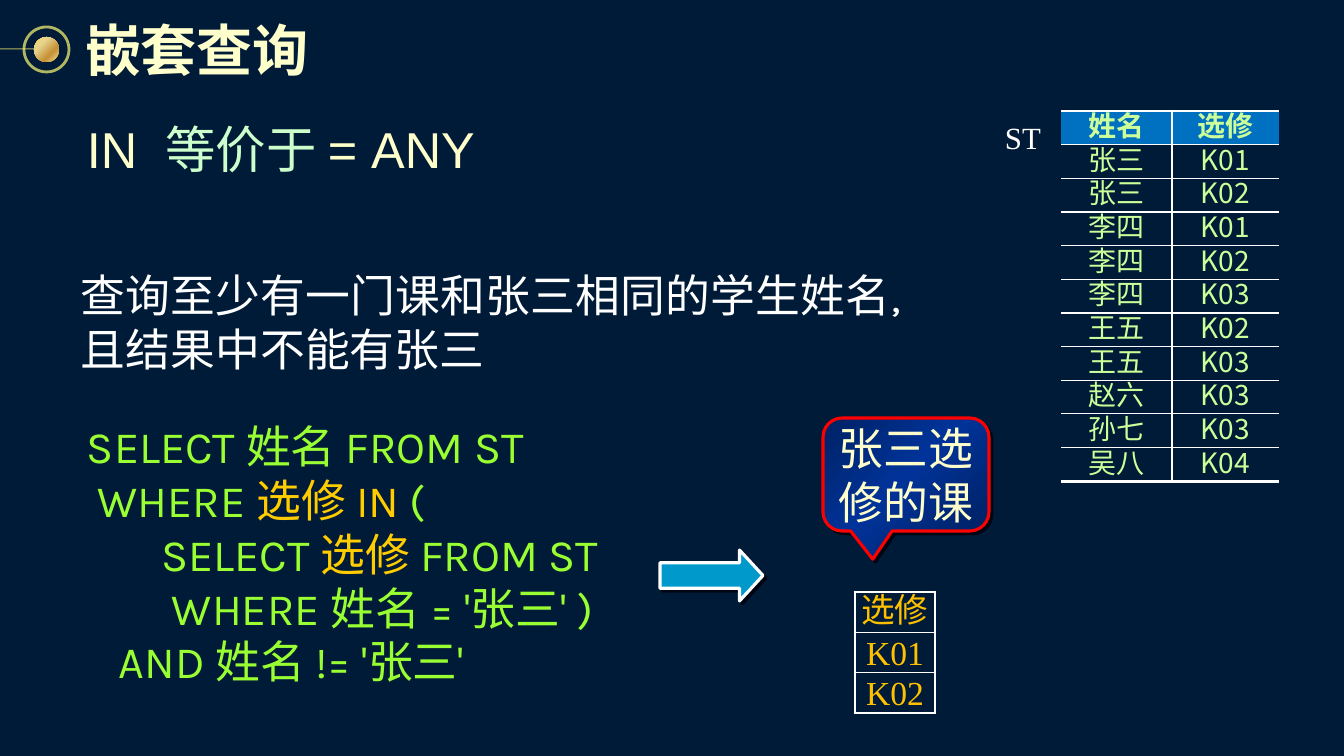
import lxml.etree
import pptx
import pptx.dml.color
import pptx.enum.shapes
import pptx.enum.text
import pptx.oxml.ns
import pptx.util

PX = 914400 / 100.8
THEME = {
    "ground": "001B37", "cream": "FFFFCC", "mint": "CCFFCC", "lime": "99FF33",
    "gold": "FFCC00", "amber": "FFC000", "pale": "CCFF99", "white": "FFFFFF",
    "header": "0070C0", "arrow": "0099CC", "alert": "FF0000", "ring": "FCF873",
    "shade": "000514",
    "pearl": [(0, "FCD860"), (31, "E6D38F"), (68, "C69135"), (100, "F1DF97")],
    "callout": [(0, "002163"), (50, "003399"), (100, "002163")],
    "title": 40, "heading": 36, "body": 32, "result": 24, "label": 22, "roster": 20,
    "cjk": "Noto Sans CJK SC", "code": "Karla", "sans": "Arial", "serif": "Times New Roman",
    "leading": 1.2,
}
RGB = pptx.dml.color.RGBColor.from_string
SHAPE = pptx.enum.shapes.MSO_SHAPE
ALIGN = pptx.enum.text.PP_ALIGN
ANCHOR = pptx.enum.text.MSO_ANCHOR
Pt = pptx.util.Pt
qn = pptx.oxml.ns.qn


def element(markup):
    """Parse one DrawingML element written with the a: prefix."""
    return pptx.oxml.parse_xml(markup.replace(
        ">" if "/>" not in markup.split(">")[0] + ">" else "/>",
        ' xmlns:a="http://schemas.openxmlformats.org/drawingml/2006/main"'
        + (">" if "/>" not in markup.split(">")[0] + ">" else "/>"), 1))


def write(frame, lines, face, size, align=ALIGN.LEFT):
    """Fill a text frame; each line is a list of (text, colour name) runs."""
    for index, pieces in enumerate(lines):
        paragraph = frame.paragraphs[0] if index == 0 else frame.add_paragraph()
        paragraph.alignment = align
        paragraph.line_spacing = Pt(THEME[size] * THEME["leading"])
        paragraph.space_before = Pt(0)
        font = paragraph.font
        font.name, font.size = THEME[face], Pt(THEME[size])
        font._rPr.append(element(f'<a:ea typeface="{THEME["cjk"]}"/>'))
        for text, colour in pieces:
            run = paragraph.add_run()
            run.text = text
            target = font if len(pieces) == 1 else run.font
            target.color.rgb = RGB(THEME[colour])


deck = pptx.Presentation()
deck.slide_width, deck.slide_height = int(1344 * PX), int(756 * PX)
slide = deck.slides.add_slide(deck.slide_layouts[5])
slide.background.fill.solid()
slide.background.fill.fore_color.rgb = RGB(THEME["ground"])
shapes = slide.shapes
shadow = (f'<a:outerShdw blurRad="0" dist="35560" dir="2700000"><a:srgbClr val="{THEME["shade"]}"/>'
          '</a:outerShdw>')

# Title ornament, arrow and callout
drawn = {}
for part, preset, box, outline, weight in [
    ("ring", SHAPE.OVAL, (24, 27, 45, 45), "ring", 2),
    ("pearl", SHAPE.OVAL, (34, 37, 25, 25), None, 0),
    ("arrow", SHAPE.RIGHT_ARROW, (660, 550, 103, 51), "white", 2.25),
    ("callout", SHAPE.ROUNDED_RECTANGULAR_CALLOUT, (823, 418, 166, 113), "alert", 2.25),
]:
    shape = drawn[part] = shapes.add_shape(preset, *[int(v * PX) for v in box])
    shape.shadow.inherit = False
    if outline:
        shape.line.color.rgb = RGB(THEME[outline])
        shape.line.width = Pt(weight)
    else:
        shape.line.fill.background()

drawn["ring"].fill.background()
drawn["arrow"].fill.solid()
drawn["arrow"].fill.fore_color.rgb = RGB(THEME["arrow"])
drawn["arrow"].adjustments[0], drawn["arrow"].adjustments[1] = 0.5, 0.46
for index, value in enumerate([-0.2, 0.75, 0.17]):
    drawn["callout"].adjustments[index] = value
drawn["pearl"].rotation = 270

for part, angle in [("pearl", 135), ("callout", 45)]:
    stops = "".join(f'<a:gs pos="{at * 1000}"><a:srgbClr val="{colour}"/></a:gs>'
                    for at, colour in THEME[part])
    drawn[part].element.spPr.prstGeom.addnext(element(
        f'<a:gradFill rotWithShape="1"><a:gsLst>{stops}</a:gsLst>'
        f'<a:lin ang="{angle * 60000}" scaled="0"/></a:gradFill>'))
for part in ("arrow", "callout"):
    drawn[part].element.spPr.find(qn("a:effectLst")).append(element(shadow))

thread = shapes.add_connector(pptx.enum.shapes.MSO_CONNECTOR.STRAIGHT,
                              0, int(49 * PX), int(34 * PX), int(49 * PX))
thread.line.color.rgb = RGB(THEME["ring"])
thread.line.width = Pt(0.75)
thread.element.spPr.append(element("<a:effectLst/>"))
for ornament in (drawn["ring"], thread):
    ornament.element.spPr.find(".//" + qn("a:ln")).find(".//" + qn("a:srgbClr")).append(
        element('<a:alpha val="70000"/>'))

callout = drawn["callout"].text_frame
callout.word_wrap = True
callout.vertical_anchor = ANCHOR.MIDDLE
callout.margin_left = callout.margin_right = 0
callout.margin_top = callout.margin_bottom = int(4 * PX)
write(callout, [[("张三选修的课", "cream")]], "sans", "body", ALIGN.CENTER)

# Title
title = shapes.title
title.left, title.top, title.width, title.height = [int(v * PX) for v in (77, 7, 242, 84)]
heading = title.text_frame
heading.word_wrap = False
heading.vertical_anchor = ANCHOR.MIDDLE
heading.margin_left = heading.margin_right = heading.margin_top = heading.margin_bottom = int(8 * PX)
write(heading, [[("嵌套查询", "cream")]], "cjk", "title")
heading.paragraphs[0].line_spacing = 1.0
heading.paragraphs[0].font.bold = True
heading.paragraphs[0].font._rPr.find(qn("a:latin")).addprevious(
    element(f"<a:effectLst>{shadow}</a:effectLst>"))

# Text blocks
query = [
    [("SELECT 姓名 FROM ST", "lime")],
    [(" WHERE ", "lime"), ("选修 IN", "gold"), (" (", "lime")],
    [("       SELECT ", "lime"), ("选修 ", "gold"), ("FROM ST", "lime")],
    [("        WHERE 姓名 = '张三' )", "lime")],
    [("   AND 姓名 != '张三' ", "lime")],
]
equivalence = [[("IN  ", "cream"), ("等价于 ", "mint"), ("= ANY", "cream")]]
question = [[("查询至少有一门课和张三相同的学生姓名,且结果中不能有张三", "white")]]
for box, lines, face, size, align, inset in [
    ((77, 113, 555, 57), equivalence, "sans", "heading", ALIGN.LEFT, (10, 5)),
    ((71, 263, 840, 111), question, "code", "body", ALIGN.JUSTIFY, (10, 5)),
    ((77, 414, 817, 184), query, "code", "body", ALIGN.JUSTIFY, (10, 5)),
    ((1005, 119, 36, 37), [[("ST", "white")]], "serif", "label", ALIGN.LEFT, (0, 0)),
]:
    frame = shapes.add_textbox(*[int(v * PX) for v in box]).text_frame
    frame.word_wrap = inset[0] > 0
    frame.margin_left = frame.margin_right = int(inset[0] * PX)
    frame.margin_top = frame.margin_bottom = int(inset[1] * PX)
    write(frame, lines, face, size, align)

# Tables
courses = [("姓名", "选修"), ("张三", "K01"), ("张三", "K02"), ("李四", "K01"), ("李四", "K02"),
           ("李四", "K03"), ("王五", "K02"), ("王五", "K03"), ("赵六", "K03"), ("孙七", "K03"),
           ("吴八", "K04")]
taken = [("选修",), ("K01",), ("K02",)]
THICK, THIN = 2.25, 1
for rows, box, widths, face, size, colour, anchor, side, header in [
    (courses, (1061, 111, 218, 370), (111, 107), "cjk", "roster", "pale", ANCHOR.TOP, 0, True),
    (taken, (855, 592, 80, 121), (80,), "serif", "result", "amber", ANCHOR.MIDDLE, THICK, False),
]:
    table = shapes.add_table(len(rows), len(widths), *[int(v * PX) for v in box]).table
    table.first_row = table.horz_banding = False
    for column, width in zip(table.columns, widths):
        column.width = int(width * PX)
    for r, values in enumerate(rows):
        table.rows[r].height = int(box[3] * PX / len(rows))
        for c, value in enumerate(values):
            cell = table.cell(r, c)
            cell.margin_left = cell.margin_right = cell.margin_top = cell.margin_bottom = 0
            cell.vertical_anchor = anchor
            write(cell.text_frame, [[(value, colour)]], face, size, ALIGN.CENTER)
            is_header = header and r == 0
            cell.text_frame.paragraphs[0].font.bold = is_header
            if is_header:
                cell.fill.solid()
                cell.fill.fore_color.rgb = RGB(THEME["header"])
            else:
                cell.fill.background()
            borders = {
                "L": THIN if c else side,
                "R": THIN if c < len(widths) - 1 else side,
                "T": THIN if r else THICK,
                "B": THIN if r < len(rows) - 1 else THICK,
            }
            for place, (edge, weight) in enumerate(borders.items()):
                paint = (f'<a:solidFill><a:srgbClr val="{THEME["white"]}"/></a:solidFill>'
                         if weight else "<a:noFill/>")
                cell._tc.tcPr.insert(place, element(
                    f'<a:ln{edge} w="{int(weight * 12700)}">{paint}</a:ln{edge}>'))

deck.save("out.pptx")
